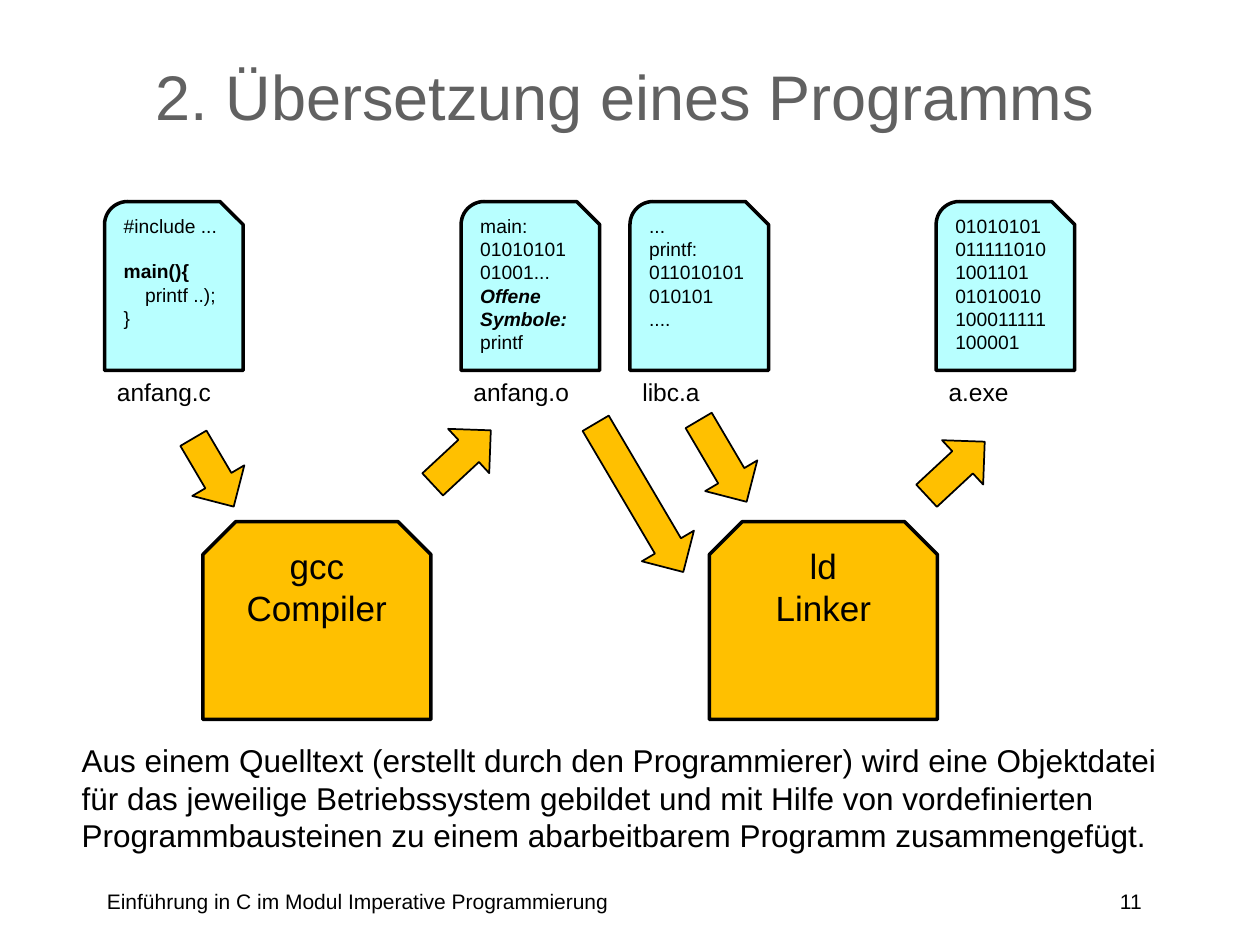
from dataclasses import dataclass

from pptx import Presentation
from pptx.dml.color import RGBColor
from pptx.enum.shapes import MSO_SHAPE
from pptx.enum.text import MSO_ANCHOR, MSO_AUTO_SIZE, PP_ALIGN
from pptx.util import Inches, Pt

FILE_SHAPE = MSO_SHAPE.SNIP_ROUND_RECTANGLE
TOOL_SHAPE = MSO_SHAPE.SNIP_2_SAME_RECTANGLE
ARROW_SHAPE = MSO_SHAPE.RIGHT_ARROW
LEFT, CENTER, RIGHT = PP_ALIGN.LEFT, PP_ALIGN.CENTER, PP_ALIGN.RIGHT
TOP, MIDDLE = MSO_ANCHOR.TOP, MSO_ANCHOR.MIDDLE
TITLE_ONLY = 5


@dataclass(frozen=True)
class Theme:
    font: str = "Arial"
    ink: RGBColor = RGBColor(0x00, 0x00, 0x00)
    title_ink: RGBColor = RGBColor(0x61, 0x61, 0x61)
    file_fill: RGBColor = RGBColor(0xB8, 0xFF, 0xFF)
    tool_fill: RGBColor = RGBColor(0xFF, 0xC0, 0x00)
    title_size: int = 36
    tool_size: int = 20
    body_size: int = 18
    label_size: int = 14
    footer_size: int = 12
    code_size: int = 11
    outline: int = 2
    arrow_outline: int = 1


THEME = Theme()


@dataclass(frozen=True)
class Line:
    text: str
    bold: bool = False
    italic: bool = False
    indent: float = 0
    space_before: float = 0


@dataclass(frozen=True)
class FileCard:
    name: str
    left: float
    lines: tuple[Line, ...]


@dataclass(frozen=True)
class Tool:
    left: float
    lines: tuple[Line, ...]


@dataclass(frozen=True)
class Arrow:
    left: float
    top: float
    length: float
    angle: float


FILES = (
    FileCard("anfang.c", 0.83, (
        Line("#include ..."),
        Line("main(){", bold=True, space_before=12.65),
        Line("printf ..);", indent=0.17),
        Line("}"),
    )),
    FileCard("anfang.o", 3.66, (
        Line("main:"),
        Line("0101010101001..."),
        Line("Offene Symbole:", bold=True, italic=True),
        Line("printf"),
    )),
    FileCard("libc.a", 5, (
        Line("..."),
        Line("printf:"),
        Line("011010101010101"),
        Line("...."),
    )),
    FileCard("a.exe", 7.43, (
        Line("010101010111110101001101"),
        Line("01010010100011111100001"),
    )),
)
TOOLS = (
    Tool(1.61, (Line("gcc"), Line("Compiler"))),
    Tool(5.63, (Line("ld"), Line("Linker"))),
)
DOWN, UP = 59.5, 317.1
ARROWS = (
    Arrow(1.38, 3.51, 0.63, DOWN),
    Arrow(3.35, 3.39, 0.63, UP),
    Arrow(4.39, 3.71, 1.37, DOWN),
    Arrow(5.36, 3.42, 0.75, DOWN),
    Arrow(7.27, 3.48, 0.63, UP),
)
FILE_TOP, FILE_WIDTH, FILE_HEIGHT = 1.6, 1.1, 1.34
SUMMARY = (
    "Aus einem Quelltext (erstellt durch den Programmierer) wird eine "
    "Objektdatei für das jeweilige Betriebssystem gebildet und mit Hilfe von "
    "vordefinierten Programmbausteinen zu einem abarbeitbarem Programm "
    "zusammengefügt."
)


def write_lines(frame, lines: tuple[Line, ...], size: int, align=LEFT,
                anchor=TOP, color: RGBColor = THEME.ink) -> None:
    frame.word_wrap = True
    frame.auto_size = MSO_AUTO_SIZE.NONE
    frame.vertical_anchor = anchor
    frame.text = "\n".join(line.text for line in lines)
    for para, line in zip(frame.paragraphs, lines):
        para.alignment = align
        para.space_before = Pt(line.space_before)
        if line.indent:
            para._p.get_or_add_pPr().set("marL", str(Inches(line.indent)))
        for span in para.runs:
            span.font.name = THEME.font
            span.font.size = Pt(size)
            span.font.bold = line.bold
            span.font.italic = line.italic
            span.font.color.rgb = color


def add_box(page, kind, left: float, top: float, width: float, height: float,
            fill: RGBColor, outline: int):
    box = page.shapes.add_shape(
        kind, Inches(left), Inches(top), Inches(width), Inches(height))
    box.shadow.inherit = False
    box.fill.solid()
    box.fill.fore_color.rgb = fill
    box.line.color.rgb = THEME.ink
    box.line.width = Pt(outline)
    return box


def add_text(page, text: str, left: float, top: float, width: float,
             height: float, size: int, align=LEFT) -> None:
    box = page.shapes.add_textbox(
        Inches(left), Inches(top), Inches(width), Inches(height))
    write_lines(box.text_frame, (Line(text),), size, align)


def add_file(page, card: FileCard) -> None:
    box = add_box(page, FILE_SHAPE, card.left, FILE_TOP, FILE_WIDTH,
                  FILE_HEIGHT, THEME.file_fill, THEME.outline)
    write_lines(box.text_frame, card.lines, THEME.code_size)
    add_text(page, card.name, card.left, FILE_TOP + FILE_HEIGHT, FILE_WIDTH,
             0.34, THEME.label_size)


def add_tool(page, tool: Tool) -> None:
    box = add_box(page, TOOL_SHAPE, tool.left, 4.14, 1.81, 1.57,
                  THEME.tool_fill, THEME.outline)
    write_lines(box.text_frame, tool.lines, THEME.tool_size, CENTER)


def add_arrow(page, arrow: Arrow) -> None:
    box = add_box(page, ARROW_SHAPE, arrow.left, arrow.top, arrow.length, 0.48,
                  THEME.tool_fill, THEME.arrow_outline)
    box.rotation = arrow.angle


def main() -> None:
    deck = Presentation()
    deck.slide_width, deck.slide_height = Inches(10), Inches(7.5)
    page = deck.slides.add_slide(deck.slide_layouts[TITLE_ONLY])

    # Title
    title = page.shapes.title
    title.left, title.top = Inches(0.67), Inches(0.17)
    title.width, title.height = Inches(8.58), Inches(1.17)
    write_lines(title.text_frame, (Line("2. Übersetzung eines Programms"),),
                THEME.title_size, CENTER, MIDDLE, THEME.title_ink)

    # Files, the tools that process them, and the flow between them
    for card in FILES:
        add_file(page, card)
    for tool in TOOLS:
        add_tool(page, tool)
    for arrow in ARROWS:
        add_arrow(page, arrow)

    # Summary and footer
    add_text(page, SUMMARY, 0.55, 5.83, 9.06, 1.01, THEME.body_size)
    add_text(page, "Einführung in C im Modul Imperative Programmierung",
             0.75, 7, 5.83, 0.33, THEME.footer_size)
    add_text(page, "11", 7.08, 7, 2.08, 0.33, THEME.footer_size, RIGHT)

    deck.save("out.pptx")


if __name__ == "__main__":
    main()
